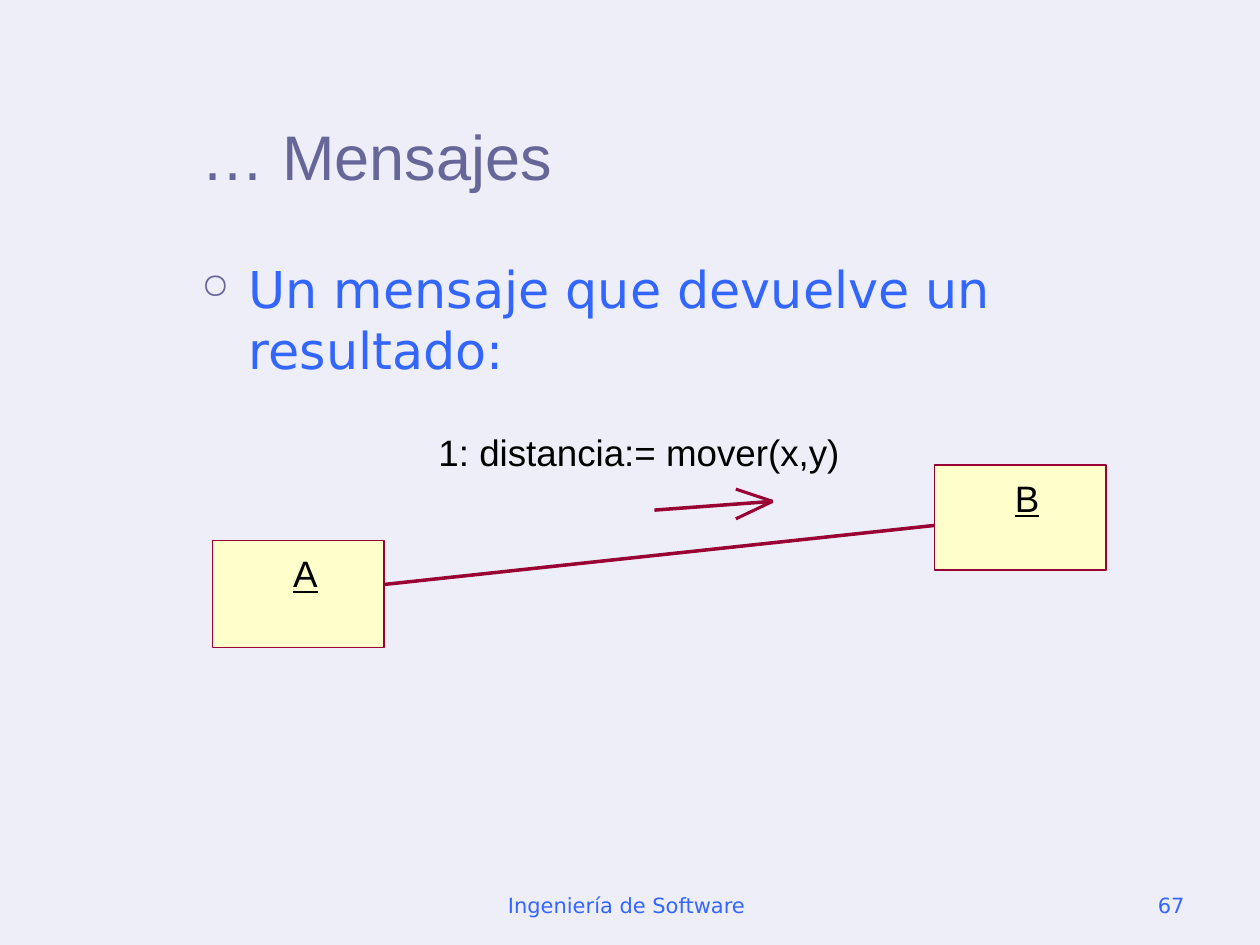
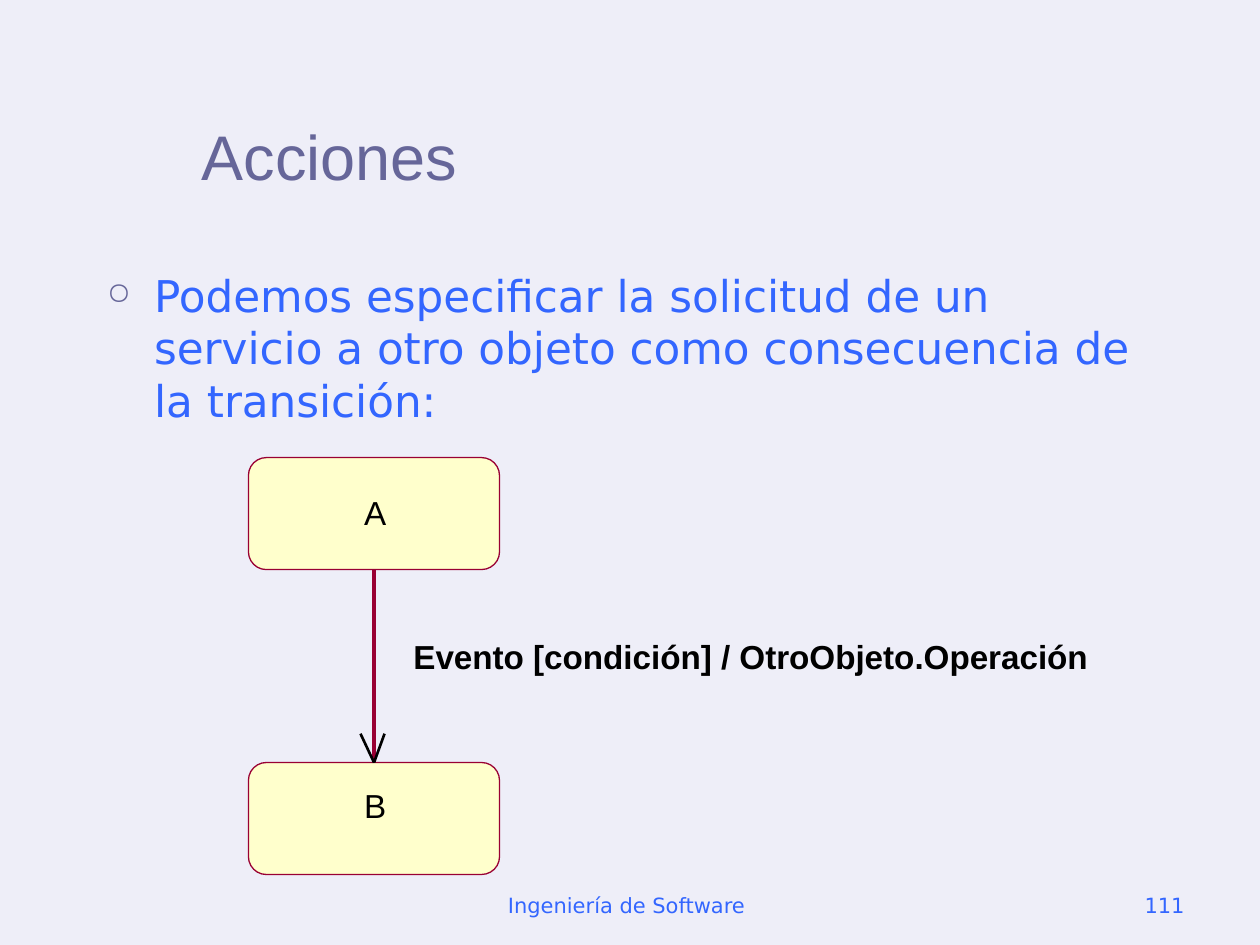
from lxml import etree
from pptx import Presentation
from pptx.dml.color import RGBColor
from pptx.enum import shapes, text
from pptx.oxml import ns
from pptx.util import Pt

BACKGROUND, TITLE, BODY = "EEEEF8", "666699", "3366FF"
BOX, EDGE, INK = "FFFFCC", "990033", "000000"
SANS, WIDE = "Arial", "DejaVu Sans"
LEFT, CENTER, RIGHT = text.PP_ALIGN.LEFT, text.PP_ALIGN.CENTER, text.PP_ALIGN.RIGHT
HAIRLINE = 0


def color(value):
    return RGBColor.from_string(value)


def points(*lengths):
    return [Pt(length) for length in lengths]


class Lecture:
    """Holds the deck, its style and the slide being drawn."""

    def __init__(self):
        self.deck = Presentation()
        self.deck.slide_width, self.deck.slide_height = points(720, 540)
        fill = self.deck.slide_master.background.fill
        fill.solid()
        fill.fore_color.rgb = color(BACKGROUND)

    def new_page(self, title, number):
        self.page = self.deck.slides.add_slide(self.deck.slide_layouts[5])
        box = self.page.shapes.title
        box.left, box.top, box.width, box.height = points(108, 24, 576, 90)
        box.text_frame.auto_size = text.MSO_AUTO_SIZE.NONE
        box.text_frame.vertical_anchor = text.MSO_ANCHOR.BOTTOM
        self.add_words(box, title, 36, TITLE, SANS, LEFT)
        self.footer(246, 228, "Ingeniería de Software ", CENTER)
        self.footer(516, 168, str(number), RIGHT)

    def add_words(self, box, words, size, ink, font, align):
        para = box.text_frame.paragraphs[0]
        para.alignment = align
        span = para.add_run()
        span.text = words
        span.font.size, span.font.name = Pt(size), font
        span.font.color.rgb = color(ink)
        return span

    def text_box(self, place):
        box = self.page.shapes.add_textbox(*points(*place))
        box.text_frame.word_wrap = True
        return box

    def footer(self, left, width, words, align):
        box = self.text_box((left, 492, width, 36))
        box.text_frame.vertical_anchor = text.MSO_ANCHOR.BOTTOM
        self.add_words(box, words, 12, BODY, WIDE, align)

    def bullet(self, place, words, size):
        box = self.text_box(place)
        props = box.text_frame.paragraphs[0]._p.get_or_add_pPr()
        props.set("marL", str(Pt(27)))
        props.set("indent", str(-Pt(27)))
        tint = etree.SubElement(props, ns.qn("a:buClr"))
        etree.SubElement(tint, ns.qn("a:srgbClr"), val=TITLE)
        etree.SubElement(props, ns.qn("a:buSzPct"), val="70000")
        etree.SubElement(props, ns.qn("a:buChar"), char="○")
        self.add_words(box, words, size, BODY, WIDE, LEFT)

    def label(self, place, words, size, align=LEFT, bold=None, underline=None):
        box = self.text_box(place)
        frame = box.text_frame
        frame.margin_left = frame.margin_top = 0
        frame.margin_right = frame.margin_bottom = 0
        frame.word_wrap = False
        frame.auto_size = text.MSO_AUTO_SIZE.SHAPE_TO_FIT_TEXT
        span = self.add_words(box, words, size, INK, SANS, align)
        span.font.bold, span.font.underline = bold, underline

    def node(self, kind, place):
        box = self.page.shapes.add_shape(kind, *points(*place))
        box.shadow.inherit = False
        box.fill.solid()
        box.fill.fore_color.rgb = color(BOX)
        box.line.color.rgb = color(EDGE)
        box.line.width = Pt(HAIRLINE)
        return box

    def line(self, start, end, ink=EDGE, width=HAIRLINE):
        line = self.page.shapes.add_connector(
            shapes.MSO_CONNECTOR.STRAIGHT, *points(*start, *end))
        line.line.color.rgb = color(ink)
        line.line.width = Pt(width)
        etree.SubElement(line._element.spPr, ns.qn("a:effectLst"))
        return line

    def arrow(self, start, tip, wings, ink, width):
        """Draw a hairline with an open head; wings are offsets from the tip."""
        shaft = self.line(start, tip)
        for across, down in wings:
            self.line(tip, (tip[0] + across, tip[1] + down), ink, width)
        return shaft


def messages(lecture):
    lecture.new_page("… Mensajes", 67)
    lecture.bullet((108, 144, 576, 324), "Un mensaje que devuelve un resultado:", 29)
    for name, left, top, height in (("A", 121.5, 309, 61), ("B", 534, 265.75, 60)):
        lecture.node(shapes.MSO_SHAPE.RECTANGLE, (left, top, 98, height))
        lecture.label((left + 46, top + 6, 14, 25), name, 21, CENTER, underline=True)
    lecture.line((219.5, 334), (534, 300.25))
    lecture.arrow((374, 291.5), (441.5, 286.5), ((-21, 10), (-21, -7)), EDGE, 1.75)
    lecture.label((250.5, 245.5, 229.5, 25), "1: distancia:= mover(x,y)", 21, CENTER)


def actions(lecture):
    lecture.new_page("Acciones", 111)
    lecture.bullet((54, 150, 612, 343.5), "Podemos especificar la solicitud de un servicio "
                   "a otro objeto como consecuencia de la transición:", 25)
    left, width, height = 142, 143.5, 64
    states = []
    for name, top, drop in (("A", 261.5, 20), ("B", 435.75, 12.75)):
        state = lecture.node(shapes.MSO_SHAPE.ROUNDED_RECTANGLE, (left, top, width, height))
        state.adjustments[0] = 0.16
        lecture.label((208, top + drop, 13, 23), name, 19)
        states.append(state)
    middle = left + width / 2
    shaft = lecture.arrow((middle, 325.5), (middle, 435.75),
                          ((6, -16.5), (-7.75, -16.5)), INK, 1.5)
    shaft.begin_connect(states[0], 2)
    shaft.end_connect(states[1], 0)
    lecture.label((236.25, 363.5, 386, 23),
                  "Evento [condición] / OtroObjeto.Operación", 19, bold=True)


def main():
    lecture = Lecture()
    messages(lecture)
    actions(lecture)
    lecture.deck.save("out.pptx")


if __name__ == "__main__":
    main()
